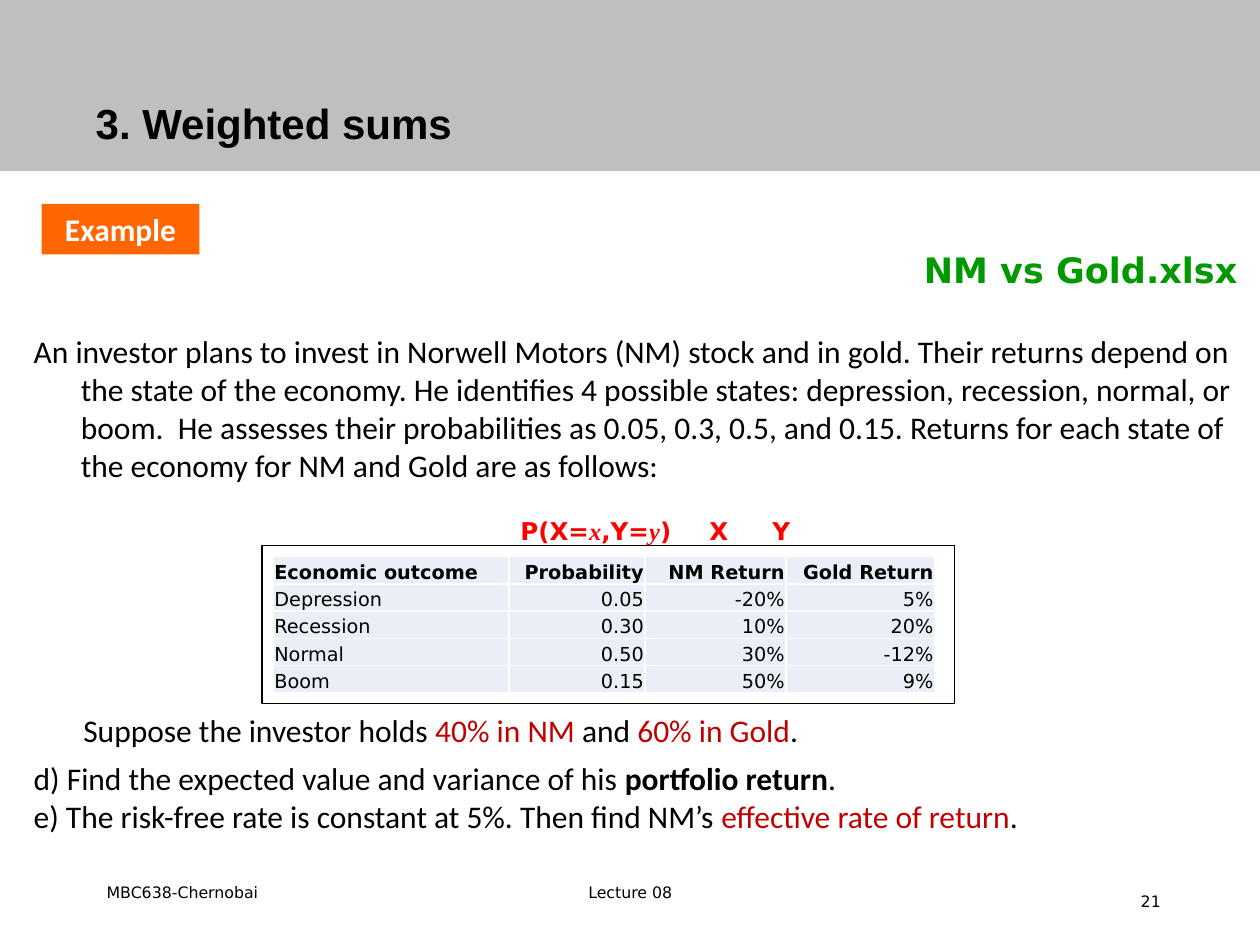
import pptx
import pptx.dml.color
import pptx.enum.shapes
import pptx.enum.text
import pptx.oxml.ns
import pptx.util
from lxml import etree

Cm, Pt = pptx.util.Cm, pptx.util.Pt
RGB = pptx.dml.color.RGBColor
ALIGN = pptx.enum.text.PP_ALIGN
ANCHOR = pptx.enum.text.MSO_ANCHOR
RECT = pptx.enum.shapes.MSO_SHAPE.RECTANGLE
qn = pptx.oxml.ns.qn

BLACK = RGB(0x00, 0x00, 0x00)
WHITE = RGB(0xFF, 0xFF, 0xFF)
GREY = RGB(0xBF, 0xBF, 0xBF)
ORANGE = RGB(0xFF, 0x66, 0x00)
GREEN = RGB(0x00, 0x99, 0x00)
RED = RGB(0xFF, 0x00, 0x00)
DARK_RED = RGB(0xC0, 0x00, 0x00)
CELL = RGB(0xEA, 0xEF, 0xF7)
SANS = "DejaVu Sans"

prs = pptx.Presentation()
prs.slide_width, prs.slide_height = Cm(25.4), Cm(19.05)
s = prs.slides.add_slide(prs.slide_layouts[6])


def add_box(left, top, width, height, anchor=ANCHOR.MIDDLE):
    sp = s.shapes.add_textbox(Cm(left), Cm(top), Cm(width), Cm(height))
    tf = sp.text_frame
    tf.word_wrap = True
    tf.vertical_anchor = anchor
    return tf


def add_run(p, text, size, font, color=BLACK, bold=False, italic=False):
    r = p.add_run()
    r.text = text
    r.font.size, r.font.name = Pt(size), font
    r.font.color.rgb = color
    r.font.bold, r.font.italic = bold, italic


# Footer
for text, left, top, width, height, align in [
    ("MBC638-Chernobai", 1.9, 17.35, 5.28, 1.27, ALIGN.LEFT),
    ("Lecture 08", 8.68, 17.35, 8.05, 1.27, ALIGN.CENTER),
    ("21", 17.93, 17.65, 5.72, 1.02, ALIGN.RIGHT),
]:
    p = add_box(left, top, width, height).paragraphs[0]
    p.alignment = align
    add_run(p, text, 9, SANS)

# Body: file name, then paragraphs of (space before, space after, left, indent, runs)
tf = add_box(0.43, 4.88, 24.77, 12.19, ANCHOR.TOP)
p = tf.paragraphs[0]
p.alignment = ALIGN.RIGHT
add_run(p, "NM vs Gold.xlsx", 20, SANS, GREEN, bold=True)

intro = (
    "An investor plans to invest in Norwell Motors (NM) stock and in gold. "
    "Their returns depend on the state of the economy. He identifies 4 possible "
    "states: depression, recession, normal, or boom.  He assesses their "
    "probabilities as 0.05, 0.3, 0.5, and 0.15. Returns for each state of the "
    "economy for NM and Gold are as follows:"
)
for before, after, left, indent, runs in [
    (24, 0, 0.95, -0.95, [(intro, BLACK, False)]),
    (130, 6, 1, 0, [
        ("Suppose the investor holds ", BLACK, False),
        ("40% in NM ", DARK_RED, False),
        ("and ", BLACK, False),
        ("60% in Gold", DARK_RED, False),
        (".", BLACK, False),
    ]),
    (0, 0, 0.95, -0.95, [
        ("d) Find the expected value and variance of his ", BLACK, False),
        ("portfolio return", BLACK, True),
        (".", BLACK, False),
    ]),
    (0, 0, 0.95, -0.95, [
        ("e) The risk-free rate is constant at 5%. Then find NM’s ", BLACK, False),
        ("effective rate of return", DARK_RED, False),
        (".", BLACK, False),
    ]),
]:
    p = tf.add_paragraph()
    p.space_before, p.space_after = Pt(before), Pt(after)
    pPr = p._p.get_or_add_pPr()
    pPr.set("marL", str(Cm(left)))
    pPr.set("indent", str(Cm(indent)))
    for text, color, bold in runs:
        add_run(p, text, 18, "Calibri", color, bold)

# Table of returns
rows = [
    ("Economic outcome", "Probability", "NM Return", "Gold Return"),
    ("Depression", "0.05", "-20%", "5%"),
    ("Recession", "0.30", "10%", "20%"),
    ("Normal", "0.50", "30%", "-12%"),
    ("Boom", "0.15", "50%", "9%"),
]
table = s.shapes.add_table(5, 4, Cm(5.51), Cm(11.22), Cm(13.33), Cm(2.75)).table
table.first_row = table.horz_banding = False
for col, width in zip(table.columns, (4.75, 2.74, 2.84, 3)):
    col.width = Cm(width)
for i, row in enumerate(rows):
    table.rows[i].height = Cm(0.55)
    for j, text in enumerate(row):
        cell = table.cell(i, j)
        cell.margin_left = cell.margin_right = cell.margin_top = Cm(0.02)
        cell.margin_bottom = 0
        cell.vertical_anchor = ANCHOR.BOTTOM
        p = cell.text_frame.paragraphs[0]
        p.alignment = ALIGN.RIGHT if j else ALIGN.LEFT
        add_run(p, text, 11, SANS, bold=i == 0)
        tcPr = cell._tc.get_or_add_tcPr()
        for side in ("a:lnL", "a:lnR", "a:lnT", "a:lnB"):
            ln = etree.SubElement(tcPr, qn(side), w=str(Pt(1)))
            fill = etree.SubElement(ln, qn("a:solidFill"))
            etree.SubElement(fill, qn("a:srgbClr"), val=str(WHITE))
        cell.fill.solid()
        cell.fill.fore_color.rgb = CELL

# Table frame, title band and example tag
frame = s.shapes.add_shape(RECT, Cm(5.28), Cm(11), Cm(13.97), Cm(3.18))
frame.shadow.inherit = False
frame.fill.background()
frame.line.color.rgb = BLACK
frame.line.width = Pt(0.75)

band = s.shapes.add_shape(RECT, 0, 0, prs.slide_width, Cm(3.45))
tag = s.shapes.add_shape(RECT, Cm(0.84), Cm(4.11), Cm(3.18), Cm(1.02))
for sp, color in ((band, GREY), (tag, ORANGE)):
    sp.shadow.inherit = False
    sp.fill.solid()
    sp.fill.fore_color.rgb = color
    sp.line.fill.background()
p = tag.text_frame.paragraphs[0]
p.alignment = ALIGN.CENTER
add_run(p, "Example", 18, "Calibri", WHITE, bold=True)

p = add_box(1.68, 0.69, 21.89, 3.68).paragraphs[0]
p.line_spacing = 0.9
add_run(p, "3. Weighted sums", 24, "Arial", bold=True)

# Variable names above the table columns, set on tab stops
p = add_box(4.24, 9.5, 20.12, 1.63, ANCHOR.BOTTOM).paragraphs[0]
pPr = p._p.get_or_add_pPr()
pPr.set("marL", str(Cm(6)))
pPr.set("indent", "0")
tabs = etree.SubElement(pPr, qn("a:tabLst"))
for pos in (10.28, 12.38):
    etree.SubElement(tabs, qn("a:tab"), pos=str(Cm(pos)), algn="l")
for text, is_variable in [
    ("P(X=", False), ("x", True), (",Y=", False), ("y", True), (")\tX\tY", False),
]:
    font = "Times New Roman" if is_variable else SANS
    add_run(p, text, 14, font, RED, bold=True, italic=is_variable)

prs.save("out.pptx")
